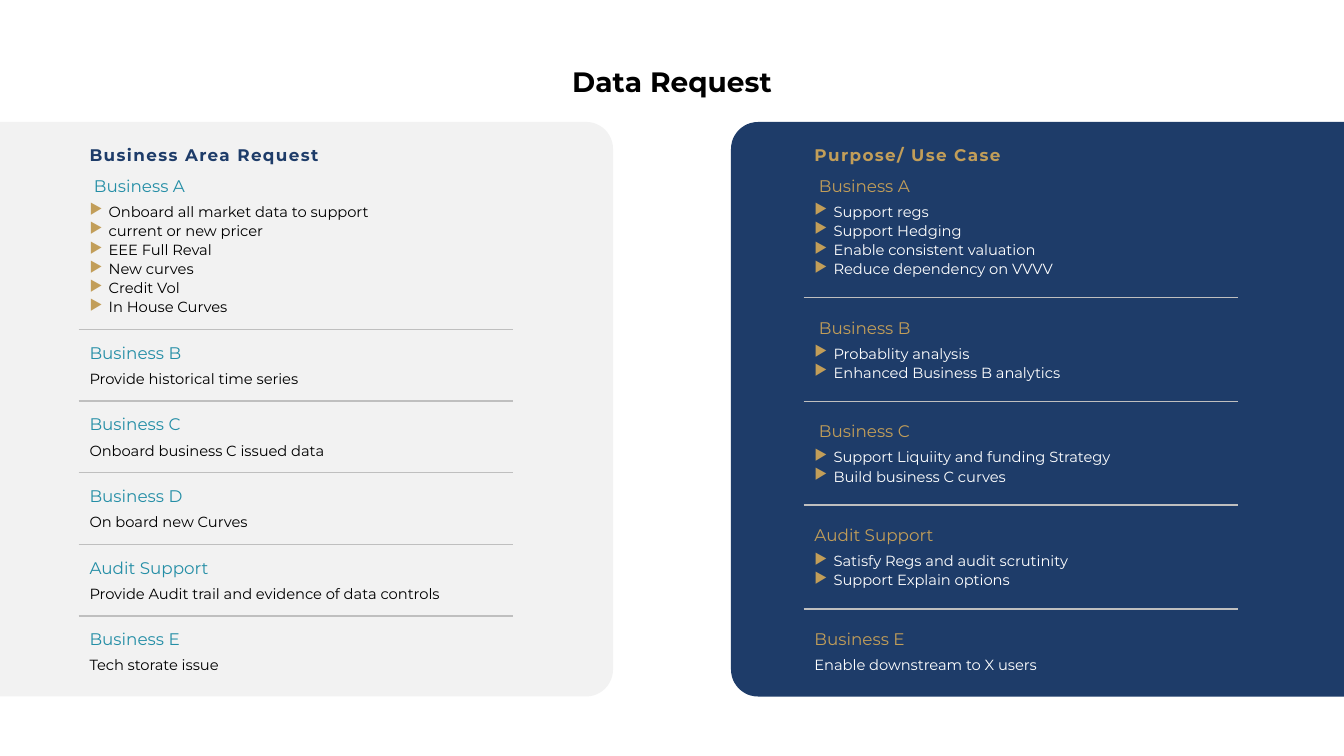
from collections import namedtuple

from lxml import etree
from pptx import Presentation
from pptx import util as u
from pptx.dml.color import RGBColor
from pptx.enum import shapes, text
from pptx.oxml import ns

NAVY = RGBColor(0x1E, 0x3C, 0x69)
PALE = RGBColor(0xF2, 0xF2, 0xF2)
GOLD = RGBColor(0xC2, 0x9E, 0x59)
TEAL = RGBColor(0x24, 0x8E, 0xA6)
RULE = RGBColor(0xBF, 0xBF, 0xBF)
BLACK = RGBColor(0x00, 0x00, 0x00)
WHITE = RGBColor(0xFF, 0xFF, 0xFF)

FONT = "Montserrat"
WIDTH, HEIGHT = u.Inches(13.33), u.Inches(7.5)
COLUMN, ROW = WIDTH / 100, HEIGHT / 100

HEADER_OFFSET = 2.4
SECTIONS_OFFSET = 6.4
BODY_OFFSET = 3.6
FIRST_LINE = 3.73
NEXT_LINE = 2.53
CONTENT_WIDTH = 32.33

Box = namedtuple("Box", "left top width height")
Style = namedtuple("Style", "fill header heading body turn inset gap")

REQUEST_STYLE = Style(PALE, NAVY, TEAL, BLACK, 90, 5.85, 1.07)
PURPOSE_STYLE = Style(NAVY, GOLD, GOLD, WHITE, 270, 5.4, 1.93)

REQUESTS = [
    (" Business A", ["Onboard all market data to support", "current or new pricer",
                     "EEE Full Reval", "New curves", "Credit Vol", "In House Curves"]),
    ("Business B", ["Provide historical time series"]),
    ("Business C", ["Onboard business C issued data"]),
    ("Business D", ["On board new Curves"]),
    ("Audit Support", ["Provide Audit trail and evidence of data controls"]),
    ("Business E", ["Tech storate issue"]),
]
PURPOSES = [
    (" Business A", ["Support regs", "Support Hedging", "Enable consistent valuation",
                     "Reduce dependency on VVVV"]),
    (" Business B", ["Probablity analysis", "Enhanced Business B analytics"]),
    (" Business C", ["Support Liquiity and funding Strategy", "Build business C curves"]),
    ("Audit Support", ["Satisfy Regs and audit scrutinity", "Support Explain options"]),
    ("Business E", ["Enable downstream to X users"]),
]


def place(box):
    return (round(box.left * COLUMN), round(box.top * ROW),
            round(box.width * COLUMN), round(box.height * ROW))


def add_run(paragraph, words, size, color, bold=False):
    run = paragraph.add_run()
    run.text = words
    run.font.name = FONT
    run.font.size = u.Pt(size)
    run.font.bold = bold
    run.font.color.rgb = color
    return run


def indent(paragraph, bulleted):
    paragraph.space_before = u.Pt(1.1)
    properties = paragraph._p.get_or_add_pPr()
    properties.set("marL", str(u.Inches(0.2 if bulleted else 0.01)))
    properties.set("indent", str(u.Inches(-0.19 if bulleted else 0)))
    if bulleted:
        color = etree.SubElement(properties, ns.qn("a:buClr"))
        etree.SubElement(color, ns.qn("a:srgbClr")).set("val", str(GOLD))
        etree.SubElement(properties, ns.qn("a:buChar")).set("char", "▶")


def add_lines(parent, box, lines, size, color, bold=False, spacing=0):
    frame = parent.add_textbox(*place(box)).text_frame
    frame.word_wrap = True
    frame.auto_size = text.MSO_AUTO_SIZE.SHAPE_TO_FIT_TEXT
    for index, words in enumerate(lines):
        paragraph = frame.add_paragraph() if index else frame.paragraphs[0]
        indent(paragraph, len(lines) > 1)
        run = add_run(paragraph, words, size, color, bold)
        if spacing:
            run._r.get_or_add_rPr().set("spc", str(spacing))


def add_rule(slide, left, top):
    x, y, width, _ = place(Box(left, top, CONTENT_WIDTH, 0))
    rule = slide.shapes.add_connector(shapes.MSO_CONNECTOR.STRAIGHT, x, y, x + width, y)
    rule.line.color.rgb = RULE
    rule.line.width = u.Pt(1)
    etree.SubElement(rule._element.spPr, ns.qn("a:effectLst"))


def add_background(slide, box, style):
    left, top, width, height = place(box)
    background = slide.shapes.add_shape(
        shapes.MSO_SHAPE.ROUND_2_SAME_RECTANGLE,
        left + (width - height) // 2, top + (height - width) // 2, height, width)
    background.adjustments[0] = 0.047
    background.adjustments[1] = 0
    background.rotation = style.turn
    background.shadow.inherit = False
    background.fill.solid()
    background.fill.fore_color.rgb = style.fill
    background.line.fill.background()


def add_section(slide, box, heading, items, style):
    group = slide.shapes.add_group_shape()
    add_lines(group.shapes, box._replace(height=4), [heading], 12, style.heading)
    body = box._replace(top=box.top + BODY_OFFSET, height=box.height - BODY_OFFSET)
    add_lines(group.shapes, body, items, 10.5, style.body)


def add_panel(slide, box, header, sections, style):
    add_background(slide, box, style)
    left = box.left + style.inset
    header_box = Box(left, box.top + HEADER_OFFSET, 31.43, 4)
    add_lines(slide.shapes, header_box, [header], 12, style.header, True, 100)
    top = box.top + SECTIONS_OFFSET
    for index, (heading, items) in enumerate(sections):
        if index:
            add_rule(slide, left, top + style.gap)
            top += 2 * style.gap
        height = BODY_OFFSET + FIRST_LINE + NEXT_LINE * (len(items) - 1)
        add_section(slide, Box(left, top, CONTENT_WIDTH, height), heading, items, style)
        top += height


def add_title(slide, box, words):
    title = slide.shapes.title
    title.left, title.top, title.width, title.height = place(box)
    frame = title.text_frame
    frame.word_wrap = True
    frame.auto_size = text.MSO_AUTO_SIZE.SHAPE_TO_FIT_TEXT
    paragraph = frame.paragraphs[0]
    paragraph.alignment = text.PP_ALIGN.CENTER
    add_run(paragraph, words, 20, BLACK, True)


def main():
    presentation = Presentation()
    presentation.slide_width, presentation.slide_height = WIDTH, HEIGHT
    slide = presentation.slides.add_slide(presentation.slide_layouts.get_by_name("Title Only"))
    add_title(slide, Box(12.5, 7.87, 75, 5.87), "Data Request")
    request_box = Box(0, 16.13, 45.61, 76)
    purpose_box = request_box._replace(left=100 - request_box.width)
    add_panel(slide, request_box, "Business Area Request", REQUESTS, REQUEST_STYLE)
    add_panel(slide, purpose_box, "Purpose/ Use Case", PURPOSES, PURPOSE_STYLE)
    presentation.save("out.pptx")


if __name__ == "__main__":
    main()
